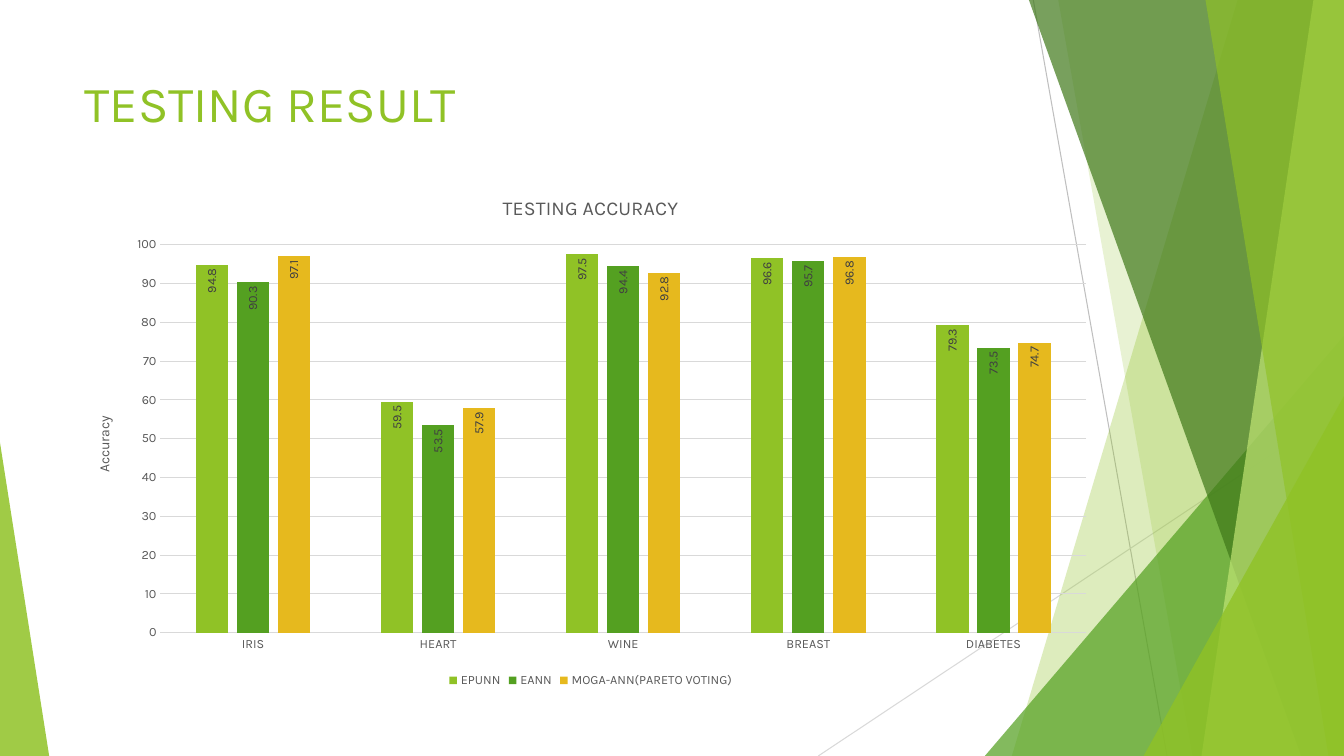
from lxml.etree import SubElement
from pptx import Presentation
from pptx.chart.data import CategoryChartData
from pptx.dml.color import RGBColor
from pptx.enum.chart import XL_CHART_TYPE, XL_LABEL_POSITION, XL_LEGEND_POSITION, XL_TICK_MARK
from pptx.enum.shapes import MSO_CONNECTOR, MSO_SHAPE
from pptx.enum.text import MSO_ANCHOR
from pptx.oxml.ns import qn
from pptx.util import Cm, Pt

WIDTH, HEIGHT = 33.87, 19.05
LIME, GREEN, GOLD = "90C226", "54A021", "E6B91E"
FOREST, PALE = "3F7819", "C0E474"
TEXT_GREY, LABEL_GREY, RULE_GREY = "595959", "404040", "D9D9D9"

RAYS = [
    ((26.04, 0, 29.41, HEIGHT), "BFBFBF"),
    ((WIDTH, 10.24, 20.62, HEIGHT), RULE_GREY),
]
BACK_FACETS = [(31.19, 25.5, LIME, 30), (26.67, 30.05, LIME, 20)]
FRONT_FACETS = [
    (25.93, 32.79, FOREST, 70),
    (33.1, 30.28, PALE, 70),
    (30.38, 33.48, LIME, 65),
]
DATASETS = ["IRIS", "HEART", "WINE", "BREAST", "DIABETES"]
RESULTS = [
    ("EPUNN", LIME, (94.8, 59.5, 97.5, 96.6, 79.3)),
    ("EANN", GREEN, (90.3, 53.5, 94.4, 95.7, 73.5)),
    ("MOGA-ANN(PARETO VOTING)", GOLD, (97.1, 57.9, 92.8, 96.8, 74.7)),
]


def rgb(value):
    return RGBColor.from_string(value)


def apply(target, values):
    for name, value in values.items():
        setattr(target, name, value)


def style_font(font, size, color):
    apply(font, {"name": "Karla", "size": Pt(size), "bold": False})
    font.color.rgb = rgb(color)


def style_line(line, color):
    line.color.rgb = rgb(color)
    line.width = Pt(0.75)


def tint(shape, color, opacity):
    shape.shadow.inherit = False
    shape.line.fill.background()
    shape.fill.solid()
    shape.fill.fore_color.rgb = rgb(color)
    swatch = shape.fill._xPr.find(".//" + qn("a:srgbClr"))
    SubElement(swatch, qn("a:alpha"), val=str(opacity * 1000))


def add_ray(slide, ends, color):
    ray = slide.shapes.add_connector(MSO_CONNECTOR.STRAIGHT, *map(Cm, ends))
    style_line(ray.line, color)
    SubElement(ray._element.spPr, qn("a:effectLst"))


def add_facet(slide, top_x, bottom_x, color, opacity):
    outline = slide.shapes.build_freeform(Cm(top_x), 0)
    corners = [(WIDTH, 0), (WIDTH, HEIGHT), (bottom_x, HEIGHT)]
    outline.add_line_segments([(Cm(x), Cm(y)) for x, y in corners], close=True)
    tint(outline.convert_to_shape(), color, opacity)


def add_corner(slide, left, top, width, peak, color, opacity):
    box = map(Cm, (left, top, width, HEIGHT - top))
    corner = slide.shapes.add_shape(MSO_SHAPE.ISOSCELES_TRIANGLE, *box)
    corner.adjustments[0] = peak
    tint(corner, color, opacity)


def add_heading(slide, text):
    heading = slide.shapes.add_textbox(Cm(1.88), Cm(1.7), Cm(23.88), Cm(3.66))
    apply(heading.text_frame, {"word_wrap": True, "vertical_anchor": MSO_ANCHOR.TOP})
    run = heading.text_frame.paragraphs[0].add_run()
    run.text = text
    style_font(run.font, 36, LIME)


def set_caption(owner, text, size):
    frame = owner.text_frame
    frame.text = text
    style_font(frame.paragraphs[0].runs[0].font, size, TEXT_GREY)


def style_axis(axis):
    apply(axis, {"major_tick_mark": XL_TICK_MARK.NONE, "minor_tick_mark": XL_TICK_MARK.NONE})
    style_font(axis.tick_labels.font, 9, TEXT_GREY)


def style_series(series, color):
    series.format.fill.solid()
    series.format.fill.fore_color.rgb = rgb(color)
    series.invert_if_negative = False
    labels = series.data_labels
    apply(labels, {"show_value": True, "position": XL_LABEL_POSITION.INSIDE_END})
    style_font(labels.font, 9, LABEL_GREY)
    direction = labels._element.find(".//" + qn("a:bodyPr"))
    direction.set("rot", "-5400000")
    direction.set("vert", "horz")


def add_accuracy_chart(slide):
    data = CategoryChartData()
    data.categories = DATASETS
    for method, _, accuracies in RESULTS:
        data.add_series(method, accuracies)
    box = map(Cm, (1.88, 4.45, 26.01, 12.98))
    chart = slide.shapes.add_chart(XL_CHART_TYPE.COLUMN_CLUSTERED, *box, data).chart
    style_font(chart.font, 10, "000000")
    chart.has_title = True
    set_caption(chart.chart_title, "TESTING ACCURACY", 14)
    chart.chart_title.include_in_layout = False

    chart.has_legend = True
    apply(chart.legend, {"position": XL_LEGEND_POSITION.BOTTOM, "include_in_layout": False})
    style_font(chart.legend.font, 9, TEXT_GREY)

    datasets, accuracy = chart.category_axis, chart.value_axis
    for axis in (datasets, accuracy):
        style_axis(axis)
    style_line(datasets.format.line, RULE_GREY)
    apply(accuracy, {"minimum_scale": 0, "maximum_scale": 100, "major_unit": 10,
                     "has_major_gridlines": True, "has_title": True})
    accuracy.format.line.fill.background()
    style_line(accuracy.major_gridlines.format.line, RULE_GREY)
    set_caption(accuracy.axis_title, "Accuracy", 10)

    plot = chart.plots[0]
    apply(plot, {"gap_width": 219, "overlap": -27, "vary_by_categories": False})
    for series, (_, color, _) in zip(plot.series, RESULTS):
        style_series(series, color)


def add_backdrop(slide):
    for ends, color in RAYS:
        add_ray(slide, ends, color)
    for facet in BACK_FACETS:
        add_facet(slide, *facet)
    add_corner(slide, 24.82, 8.46, 9.05, 1, GREEN, 72)
    for facet in FRONT_FACETS:
        add_facet(slide, *facet)
    add_corner(slide, 28.82, 9.98, 5.05, 1, LIME, 80)
    add_corner(slide, 0, 11.15, 1.24, 0, LIME, 85)


def main():
    deck = Presentation()
    apply(deck, {"slide_width": Cm(WIDTH), "slide_height": Cm(HEIGHT)})
    slide = deck.slides.add_slide(deck.slide_layouts[6])
    add_backdrop(slide)
    add_heading(slide, "TESTING RESULT")
    add_accuracy_chart(slide)
    deck.save("out.pptx")


main()
